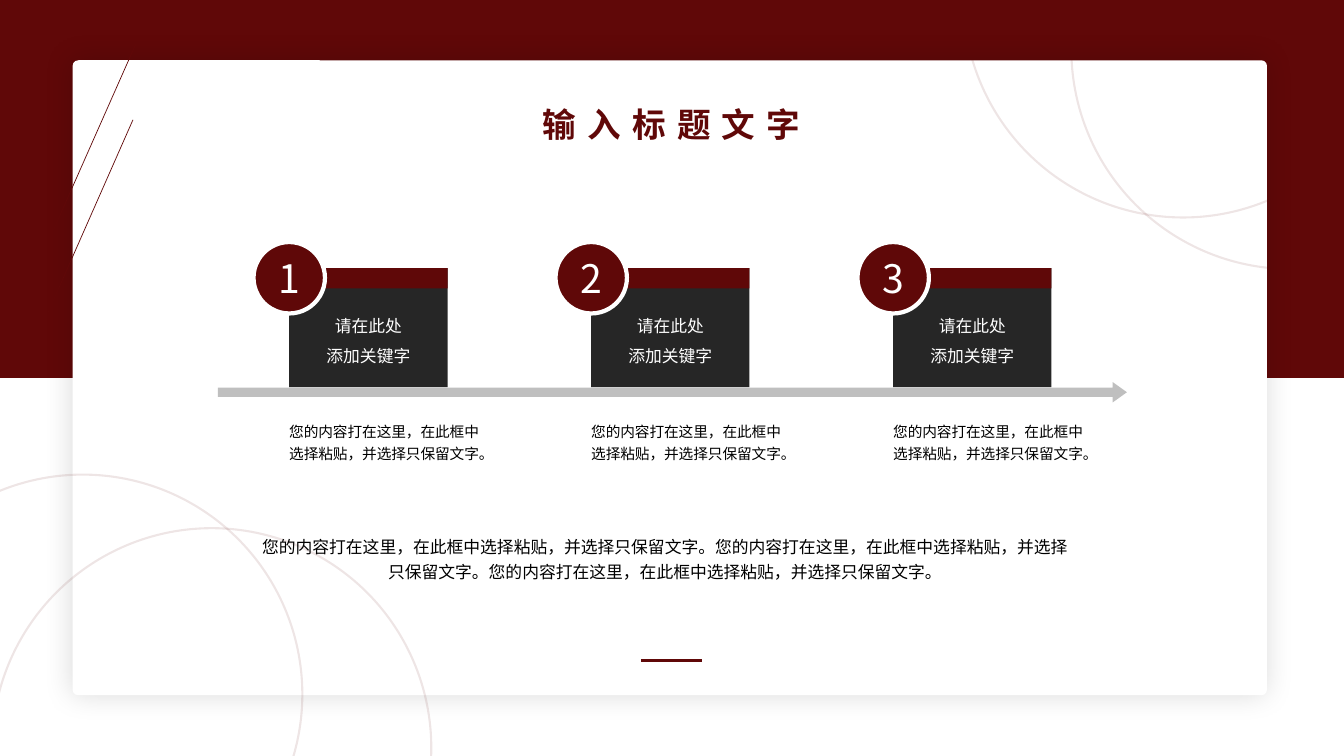
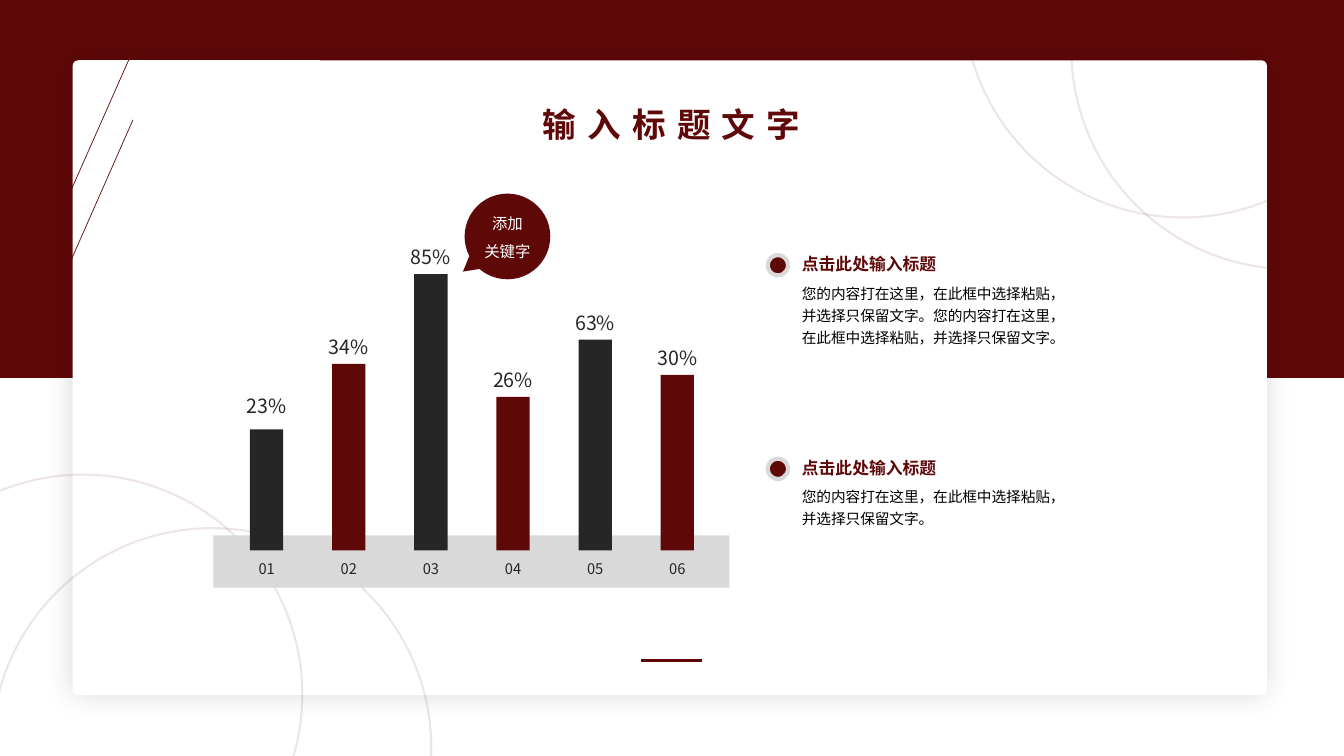
import pptx
import pptx.util
import pptx.dml.color
import pptx.enum.shapes
import pptx.enum.text
import pptx.oxml
import pptx.oxml.ns
from lxml import etree

Cm = pptx.util.Cm
Pt = pptx.util.Pt
SHAPE = pptx.enum.shapes.MSO_SHAPE
ALIGN = pptx.enum.text.PP_ALIGN
ANCHOR = pptx.enum.text.MSO_ANCHOR
qn = pptx.oxml.ns.qn

FONT = "Noto Sans CJK SC"
MAROON = "600808"
ACCENT = "5F0808"
CHARCOAL = "262626"
WHITE = "FFFFFF"
BLACK = "000000"
ARROW_GREY = "BFBFBF"
PALE_GREY = "D9D9D9"
SLIDE_WIDTH, SLIDE_HEIGHT = 33.87, 19.05

SENTENCE = "您的内容打在这里，在此框中选择粘贴，并选择只保留文字。"
CIRCLE_SIZE = 11.07
CIRCLES = [(-0.2, 13.31), (-3.45, 11.96), (27, -4.29), (24.28, -5.59)]
DIAGONALS = [(3.43, 1.09, 1.35, 5.79), (3.35, 3.02, 0.64, 9.17)]
BARS = [("23%", 3.05, 1.02), ("34%", 4.7, 0.86), ("85%", 6.96, 0.86),
        ("26%", 3.87, 0.86), ("63%", 5.31, 0.86), ("30%", 4.42, 0.86)]


def colour(hex_string):
    return pptx.dml.color.RGBColor.from_string(hex_string)


def write_text(shape, text, size=12, color=BLACK, bold=False, align=ALIGN.LEFT,
               anchor=ANCHOR.TOP, line_spacing=None, letter_spacing=None,
               wrap=True, insets=(0.25, 0.13, 0.25, 0.13)):
    frame = shape.text_frame
    frame.word_wrap = wrap
    frame.vertical_anchor = anchor
    frame.margin_left, frame.margin_top, frame.margin_right, frame.margin_bottom = map(Cm, insets)
    for index, line in enumerate(text.split("\n")):
        paragraph = frame.add_paragraph() if index else frame.paragraphs[0]
        paragraph.alignment = align
        if line_spacing:
            paragraph.line_spacing = line_spacing
        run = paragraph.add_run()
        run.text = line
        run.font.size = Pt(size)
        run.font.bold = bold
        run.font.color.rgb = colour(color)
        run.font.name = FONT
        properties = run.font._element
        etree.SubElement(properties, qn("a:ea"), typeface=FONT)
        if letter_spacing:
            properties.set("spc", str(letter_spacing * 100))


def add_text(shapes, text, left, top, width, height, **text_format):
    box = shapes.add_textbox(Cm(left), Cm(top), Cm(width), Cm(height))
    write_text(box, text, **text_format)
    box.text_frame.auto_size = pptx.enum.text.MSO_AUTO_SIZE.SHAPE_TO_FIT_TEXT
    return box


def set_line(line, color, width, opacity=None):
    line.color.rgb = colour(color)
    line.width = Pt(width)
    if opacity:
        color_element = line._ln.find(".//" + qn("a:srgbClr"))
        etree.SubElement(color_element, qn("a:alpha"), val=str(opacity * 1000))


def add_shape(shapes, kind, left, top, width, height, fill=None, adjustments=()):
    shape = shapes.add_shape(kind, Cm(left), Cm(top), Cm(width), Cm(height))
    shape.shadow.inherit = False
    if fill:
        shape.fill.solid()
        shape.fill.fore_color.rgb = colour(fill)
    else:
        shape.fill.background()
    shape.line.fill.background()
    for index, value in enumerate(adjustments):
        shape.adjustments[index] = value
    return shape


def add_line(shapes, start_x, start_y, end_x, end_y, width):
    connector = shapes.add_connector(pptx.enum.shapes.MSO_CONNECTOR.STRAIGHT,
                                     Cm(start_x), Cm(start_y), Cm(end_x), Cm(end_y))
    set_line(connector.line, MAROON, width)
    etree.SubElement(connector._element.spPr, qn("a:effectLst"))


def add_glow_shadow(shape, blur, opacity):
    effects = shape._element.spPr.find(qn("a:effectLst"))
    shadow = etree.SubElement(effects, qn("a:outerShdw"), blurRad=str(Pt(blur)),
                              dist="0", dir="0", algn="ctr", rotWithShape="0")
    color_element = etree.SubElement(shadow, qn("a:srgbClr"), val=BLACK)
    etree.SubElement(color_element, qn("a:alpha"), val=str(opacity * 1000))


def add_framed_slide(presentation, title):
    slide = presentation.slides.add_slide(presentation.slide_layouts[6])
    shapes = slide.shapes
    add_shape(shapes, SHAPE.RECTANGLE, 0, 0, SLIDE_WIDTH, SLIDE_HEIGHT / 2, MAROON)
    card = add_shape(shapes, SHAPE.ROUNDED_RECTANGLE, 1.83, 1.52, 30.1, 16, WHITE, [0.009])
    add_glow_shadow(card, blur=20, opacity=15)
    add_line(shapes, 16.15, 16.64, 17.7, 16.64, 2)
    add_text(shapes, title, 13.26, 2.49, 7.34, 1.27, size=24, color=MAROON, bold=True,
             align=ALIGN.CENTER, letter_spacing=8)
    for diagonal in DIAGONALS:
        add_line(shapes, *diagonal, 0.5)
    for left, top in CIRCLES:
        circle = add_shape(shapes, SHAPE.OVAL, left, top, CIRCLE_SIZE, CIRCLE_SIZE)
        set_line(circle.line, MAROON, 1.5, opacity=10)
    return slide


def add_step(slide, number, left):
    shapes = slide.shapes.add_group_shape().shapes
    box = add_shape(shapes, SHAPE.RECTANGLE, left, 6.76, 3.99, 3, CHARCOAL)
    write_text(box, "请在此处\n添加关键字", color=WHITE, align=ALIGN.CENTER,
               line_spacing=1.5, insets=(0.25, 0.94, 0.25, 0))
    add_shape(shapes, SHAPE.RECTANGLE, left, 6.76, 3.99, 0.51, ACCENT)
    badge = add_shape(shapes, SHAPE.OVAL, left - 0.9, 6.1, 1.8, 1.8, ACCENT)
    set_line(badge.line, WHITE, 3)
    write_text(badge, str(number), size=28, color=WHITE, align=ALIGN.CENTER,
               anchor=ANCHOR.MIDDLE, wrap=False, insets=(0, 0, 0, 0))
    add_text(slide.shapes, SENTENCE, left, 10.41, 5.16, 1.32, size=10.5,
             line_spacing=1.25, insets=(0, 0.13, 0.25, 0.13))


def add_bar(shapes, index, percentage, height, label_rise):
    left, width, bottom = 6.3 + 2.07 * index, 0.84, 13.87
    center, top = left + width / 2, bottom - height
    label_format = dict(color=CHARCOAL, align=ALIGN.CENTER, wrap=False)
    add_shape(shapes, SHAPE.RECTANGLE, left, top, width, height,
              ACCENT if index % 2 else CHARCOAL)
    add_text(shapes, f"{index + 1:02d}", center - 0.47, 13.97, 0.94, 0.71,
             size=10.5, **label_format)
    add_text(shapes, percentage, center - 0.78, top - label_rise, 1.56, 0.86,
             size=14, **label_format)


def add_point(slide, top, body, body_height):
    shapes = slide.shapes.add_group_shape().shapes
    marker = add_shape(shapes, SHAPE.OVAL, 19.35, top + 0.16, 0.51, 0.51, ACCENT)
    set_line(marker.line, PALE_GREY, 3)
    add_text(shapes, "点击此处输入标题", 19.96, top, 5.33, 0.76, color=ACCENT, bold=True)
    add_text(shapes, body, 19.96, top + 0.66, 7.16, body_height, size=10.5, line_spacing=1.25)


def build_timeline_slide(presentation):
    slide = add_framed_slide(presentation, "输入标题文字")
    add_shape(slide.shapes, SHAPE.RIGHT_ARROW, 5.49, 9.63, 22.91, 0.51, ARROW_GREY, [0.46, 0.7])
    for index in range(3):
        add_step(slide, index + 1, 7.29 + 7.61 * index)
    add_text(slide.shapes, SENTENCE * 3, 6.3, 13.26, 20.93, 1.47,
             align=ALIGN.CENTER, line_spacing=1.25)


def build_bars_slide(presentation):
    slide = add_framed_slide(presentation, "输入标题文字")
    add_shape(slide.shapes, SHAPE.RECTANGLE, 5.38, 13.49, 13, 1.32, PALE_GREY)
    for index, bar in enumerate(BARS):
        add_bar(slide.shapes, index, *bar)
    callout = add_shape(slide.shapes, SHAPE.OVAL_CALLOUT, 11.71, 4.88, 2.16, 2.16,
                        ACCENT, [-0.52, 0.41])
    write_text(callout, "添加\n关键字", size=11, color=WHITE, align=ALIGN.CENTER,
               anchor=ANCHOR.MIDDLE, line_spacing=1.5, wrap=False, insets=(0, 0, 0, 0.18))
    add_point(slide, 6.27, SENTENCE * 2, 2.44)
    add_point(slide, 11.4, SENTENCE, 1.32)


def main():
    presentation = pptx.Presentation()
    presentation.slide_width = Cm(SLIDE_WIDTH)
    presentation.slide_height = Cm(SLIDE_HEIGHT)
    build_timeline_slide(presentation)
    build_bars_slide(presentation)
    presentation.save("out.pptx")


if __name__ == "__main__":
    main()
